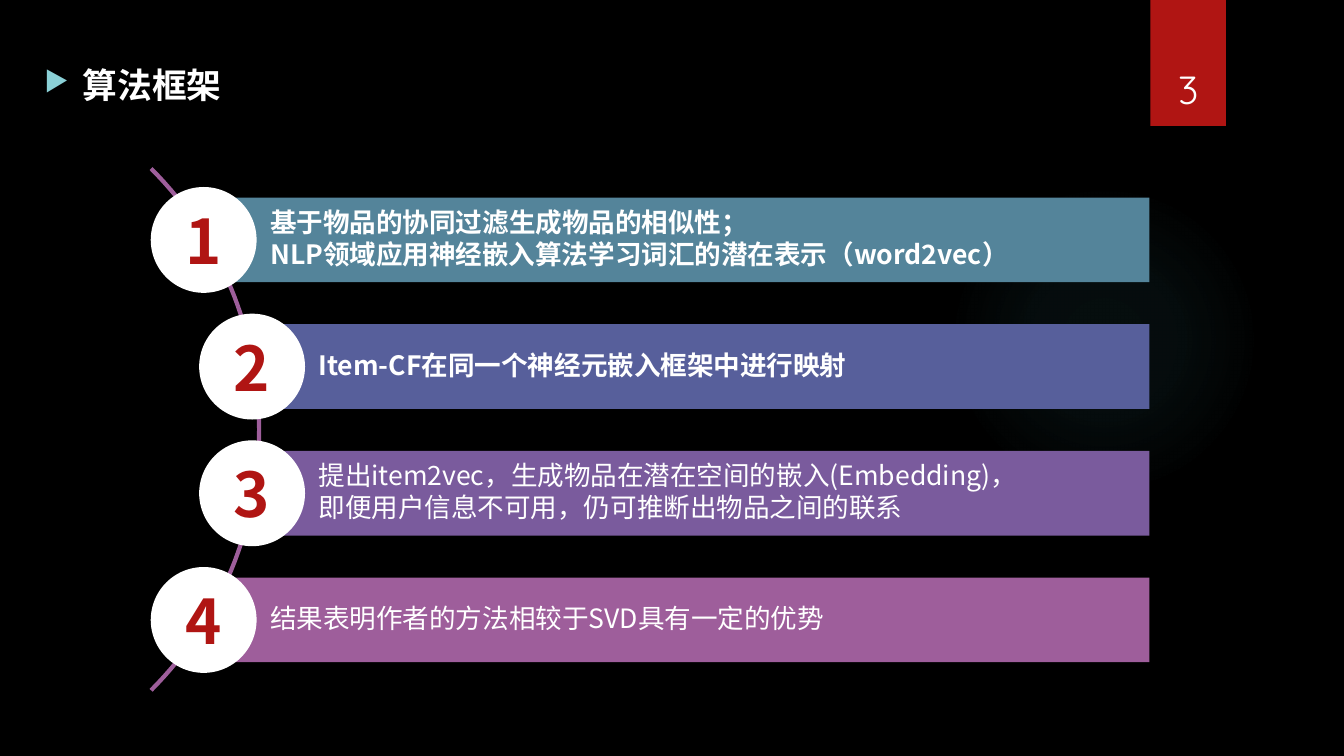
"""Build the slide on the algorithm framework: four numbered bars along an arc."""
from math import cos, pi, sin

from lxml.etree import SubElement
from pptx import Presentation
from pptx.dml.color import RGBColor
from pptx.enum.shapes import MSO_SHAPE
from pptx.enum.text import MSO_ANCHOR, PP_ALIGN
from pptx.oxml import parse_xml
from pptx.oxml.ns import nsdecls, qn
from pptx.util import Inches, Pt

BLACK = RGBColor(0x00, 0x00, 0x00)
WHITE = RGBColor(0xFF, 0xFF, 0xFF)
RED = RGBColor(0xB0, 0x15, 0x13)
AQUA = RGBColor(0x8A, 0xD0, 0xD6)
GLOW = RGBColor(0x50, 0xB9, 0xC1)
TEAL = RGBColor(0x54, 0x84, 0x9A)
BLUE = RGBColor(0x57, 0x5F, 0x9B)
VIOLET = RGBColor(0x7A, 0x5B, 0x9D)
PLUM = RGBColor(0x9E, 0x5E, 0x9B)

SANS = "Noto Sans CJK JP"
RIGHT = 11.4
TOP, LAST = 1.96, 5.73
BAR, DISC = 0.84, 1.05
LEFTS = (2.02, 2.5)
STEPS = [
    (0, TEAL, True, ["基于物品的协同过滤生成物品的相似性；",
                     "NLP领域应用神经嵌入算法学习词汇的潜在表示（word2vec）"]),
    (1, BLUE, True, ["Item-CF在同一个神经元嵌入框架中进行映射"]),
    (1, VIOLET, False, ["提出item2vec，生成物品在潜在空间的嵌入(Embedding)，",
                        "即便用户信息不可用，仍可推断出物品之间的联系"]),
    (0, PLUM, False, ["结果表明作者的方法相较于SVD具有一定的优势"]),
]


def style(para, name, size, color, bold=False):
    font = para.font
    font.name, font.size, font.bold = name, Pt(size), bold
    font.color.rgb = color
    latin = para._p.find(".//" + qn("a:latin"))
    latin.addnext(parse_xml(f'<a:ea {nsdecls("a")} typeface="{name}"/>'))


def add_block(slide, kind, box, color):
    block = slide.shapes.add_shape(kind, *map(Inches, box))
    block.shadow.inherit = False
    block.fill.solid()
    block.fill.fore_color.rgb = color
    block.line.fill.background()
    return block


def set_frame(shape, anchor, left=0, foot=0):
    frame = shape.text_frame
    frame.vertical_anchor = anchor
    frame.margin_left, frame.margin_bottom = Inches(left), Inches(foot)
    frame.margin_right = frame.margin_top = 0
    return frame


def add_glow(slide):
    glow = add_block(slide, MSO_SHAPE.OVAL, (9.41, 1.83, 3.08, 3.08), GLOW)
    stops = "".join(
        f'<a:gs pos="{pos}000"><a:srgbClr val="{GLOW}">'
        f'<a:alpha val="{alpha}000"/></a:srgbClr></a:gs>'
        for pos, alpha in ((0, 7), (36, 6), (69, 0), (100, 0)))
    grad = parse_xml(
        f'<a:gradFill {nsdecls("a")}><a:gsLst>{stops}</a:gsLst><a:path path="circle">'
        '<a:fillToRect l="50000" t="50000" r="50000" b="50000"/></a:path></a:gradFill>')
    props = glow._element.spPr
    props.replace(props.find(qn("a:solidFill")), grad)


def add_badge(slide):
    badge = add_block(slide, MSO_SHAPE.RECTANGLE, (11.41, 0, 0.75, 1.25), RED)
    frame = set_frame(badge, MSO_ANCHOR.BOTTOM, foot=0.14)
    frame.text = "3"
    para = frame.paragraphs[0]
    para.alignment = PP_ALIGN.CENTER
    style(para, "Quicksand", 28, WHITE)


def set_title(slide):
    title = slide.shapes.title
    title.left, title.top, title.width, title.height = map(Inches, (0.34, 0.61, 7, 0.46))
    frame = title.text_frame
    frame.text = "算法框架"
    frame.vertical_anchor = MSO_ANCHOR.MIDDLE
    para = frame.paragraphs[0]
    para.alignment = PP_ALIGN.LEFT
    props = para._p.get_or_add_pPr()
    props.set("marL", str(Inches(0.38)))
    props.set("indent", str(-Inches(0.38)))
    tint = SubElement(props, qn("a:buClr"))
    SubElement(tint, qn("a:srgbClr"), val=str(AQUA))
    SubElement(props, qn("a:buSzPct"), val="80000")
    SubElement(props, qn("a:buChar"), char="▶")
    style(para, "Roboto", 24.8, WHITE, True)


def add_arc(slide, mid_x, mid_y, radius, count=60):
    turns = [pi / 2 * (i / count - 0.5) for i in range(count + 1)]
    dots = [(Inches(mid_x + radius * cos(t)), Inches(mid_y + radius * sin(t)))
            for t in turns]
    build = slide.shapes.build_freeform(*dots[0])
    build.add_line_segments(dots[1:], close=False)
    arc = build.convert_to_shape()
    arc.shadow.inherit = False
    arc.fill.background()
    arc.line.color.rgb = PLUM
    arc.line.width = Pt(3)


def add_step(slide, index, column, color, bold, lines):
    left = LEFTS[column]
    top = TOP + index * (LAST - TOP) / (len(STEPS) - 1)
    bar = add_block(slide, MSO_SHAPE.RECTANGLE, (left, top, RIGHT - left, BAR), color)
    frame = set_frame(bar, MSO_ANCHOR.MIDDLE, left=0.66)
    frame.text = "\n".join(lines)
    for para in frame.paragraphs:
        para.alignment = PP_ALIGN.LEFT
        para.line_spacing = 0.9
        para.space_after = Pt(2.4)
        style(para, SANS, 19, WHITE, bold)
    box = (left - DISC / 2, top + (BAR - DISC) / 2, DISC, DISC)
    disc = add_block(slide, MSO_SHAPE.OVAL, box, WHITE)
    frame = set_frame(disc, MSO_ANCHOR.MIDDLE)
    frame.word_wrap = False
    frame.text = str(index + 1)
    para = frame.paragraphs[0]
    para.alignment = PP_ALIGN.CENTER
    style(para, SANS, 44, RED, True)


def main():
    deck = Presentation()
    deck.slide_width, deck.slide_height = Inches(13.33), Inches(7.5)
    slide = deck.slides.add_slide(deck.slide_layouts[5])
    slide.background.fill.solid()
    slide.background.fill.fore_color.rgb = BLACK
    add_glow(slide)
    add_badge(slide)
    set_title(slide)
    add_arc(slide, -1.09, 4.26, 3.66)
    for index, step in enumerate(STEPS):
        add_step(slide, index, *step)
    deck.save("out.pptx")


if __name__ == "__main__":
    main()
